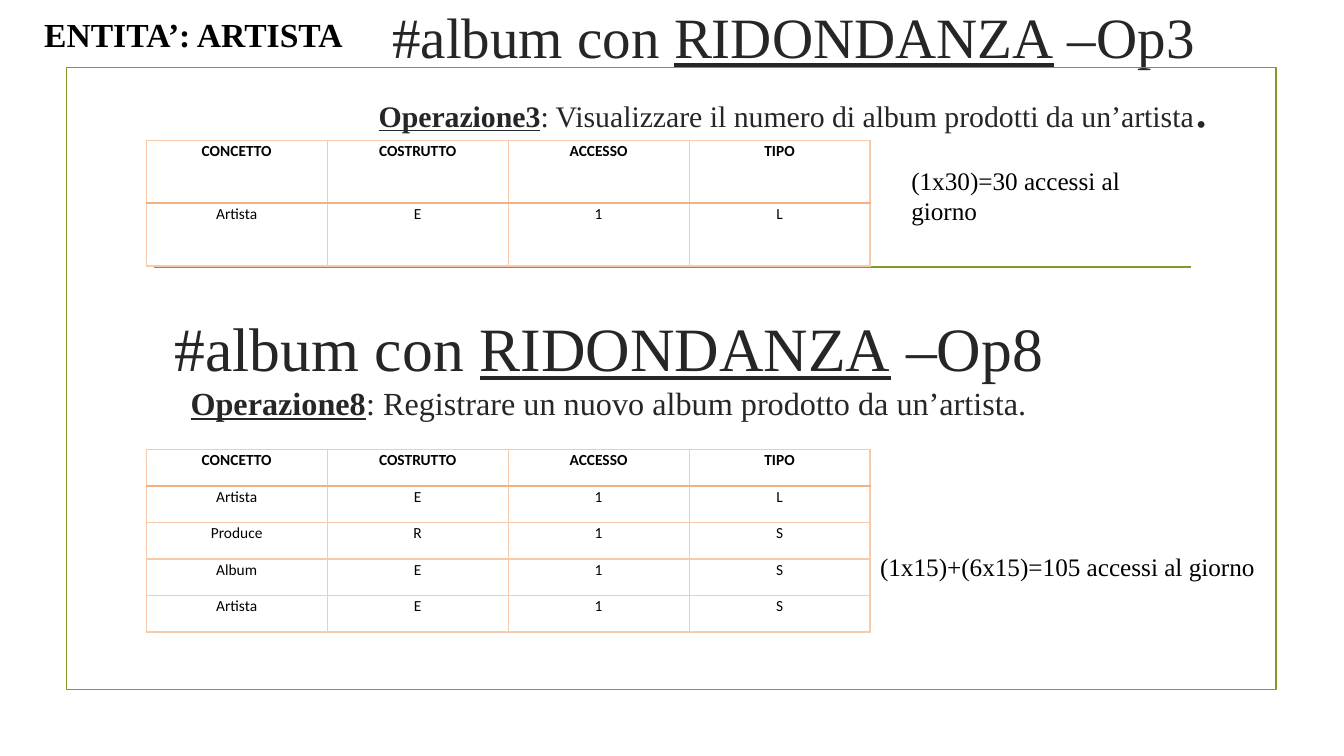
"""Slide on the cost of operations 3 and 8 with a redundant album count."""
from lxml.etree import SubElement
from pptx import Presentation
from pptx.dml.color import RGBColor
from pptx.enum.shapes import MSO_CONNECTOR as Connector, MSO_SHAPE as Shape
from pptx.enum.text import MSO_ANCHOR as Anchor, MSO_AUTO_SIZE as AutoSize, PP_ALIGN as Align
from pptx.oxml.ns import qn
from pptx.util import Emu, Pt

BLACK = RGBColor(0x00, 0x00, 0x00)
CHARCOAL = RGBColor(0x26, 0x26, 0x26)
OLIVE = RGBColor(0x83, 0x99, 0x2A)
PEACH = RGBColor(0xF7, 0xCA, 0xAC)
ORANGE = RGBColor(0xF4, 0xB0, 0x83)
HEADER = ("CONCETTO", "COSTRUTTO", "ACCESSO", "TIPO")


def px(count):
    return Emu(count * 9144)


class SlideBuilder:
    serif = "Times New Roman"
    sans = "Calibri"

    def __init__(self, slide):
        self.slide = slide
        self.shapes = slide.shapes

    def span(self, para, text, size, color, font=serif, bold=False, underline=False):
        span = para.add_run()
        span.text = text
        span.font.name = font
        span.font.size = Pt(size)
        span.font.color.rgb = color
        span.font.bold = bold
        span.font.underline = underline

    def frame(self, left, top, width, height):
        box = self.shapes.add_shape(Shape.RECTANGLE, px(left), px(top), px(width), px(height))
        box.shadow.inherit = False
        box.fill.background()
        box.line.color.rgb = OLIVE
        box.line.width = Pt(1.25)

    def rule(self, left, right, top):
        line = self.shapes.add_connector(Connector.STRAIGHT, px(left), px(top), px(right), px(top))
        line.line.color.rgb = OLIVE
        line.line.width = Pt(1.25)
        SubElement(line._element.spPr, qn("a:effectLst"))

    def heading(self, box, left, top, bottom_inset, lines):
        box.left, box.top, box.width, box.height = px(left), px(top), px(1050), px(143)
        frame = box.text_frame
        frame.word_wrap = True
        frame.auto_size = AutoSize.NONE
        frame.vertical_anchor = Anchor.MIDDLE
        frame.margin_bottom = px(bottom_inset)
        for index, spans in enumerate(lines):
            para = frame.add_paragraph() if index else frame.paragraphs[0]
            para.alignment = Align.CENTER
            for text, size, bold, underline in spans:
                self.span(para, text, size, CHARCOAL, bold=bold, underline=underline)

    def note(self, left, top, width, height, text, size=18, bold=False):
        box = self.shapes.add_textbox(px(left), px(top), px(width), px(height))
        box.text_frame.word_wrap = True
        box.text_frame.auto_size = AutoSize.SHAPE_TO_FIT_TEXT
        self.span(box.text_frame.paragraphs[0], text, size, BLACK, bold=bold)

    def border(self, cell, side, color, width):
        line = SubElement(cell._tc.get_or_add_tcPr(), qn(f"a:ln{side}"), w=str(Pt(width)))
        fill = SubElement(line, qn("a:solidFill"))
        SubElement(fill, qn("a:srgbClr"), val=str(color))

    def cell(self, cell, text, row):
        strong_sides = {0: "B", 1: "T"}
        for side in "LRTB":
            strong = strong_sides.get(row) == side
            self.border(cell, side, ORANGE if strong else PEACH, 1.5 if strong else 1)
        cell.fill.background()
        cell.margin_left = cell.margin_right = px(7)
        cell.margin_top = cell.margin_bottom = 0
        para = cell.text_frame.paragraphs[0]
        para.alignment = Align.CENTER
        para.line_spacing = 1.07
        para.space_after = Pt(8)
        self.span(para, text, 11, BLACK, self.sans, bold=row == 0)

    def access_table(self, top, height, records):
        rows = (HEADER, *records)
        table = self.shapes.add_table(
            len(rows), len(HEADER), px(145), px(top), px(718), px(height)).table
        table.horz_banding = False
        for row, values in enumerate(rows):
            table.rows[row].height = px(height) // len(rows)
            for column, text in enumerate(values):
                self.cell(table.cell(row, column), text, row)


def main():
    deck = Presentation()
    deck.slide_width, deck.slide_height = px(1333), px(750)
    page = SlideBuilder(deck.slides.add_slide(deck.slide_layouts[5]))
    page.frame(66, 67, 1200, 617)
    page.rule(153, 1181, 265)

    page.heading(page.shapes.title, 262, 28, 65, [
        [("#album con ", 40.7, False, False), ("RIDONDANZA", 40.7, False, True),
         (" –Op3", 40.7, False, False)],
        [("Operazione3", 21.3, True, True),
         (": Visualizzare il numero di album prodotti da un’artista", 21.3, False, False),
         (".", 40.7, False, False)],
    ])
    page.access_table(139, 125, [("Artista", "E", "1", "L")])

    second_heading = page.shapes.add_textbox(0, 0, px(1050), px(143))
    page.heading(second_heading, 79, 324, 70, [
        [("#album con ", 44, False, False), ("RIDONDANZA", 44, False, True),
         (" –Op8", 44, False, False)],
        [("Operazione8", 23, True, True),
         (": Registrare un nuovo album prodotto da un’artista.", 23, False, False)],
    ])
    page.access_table(446, 181, [
        ("Artista", "E", "1", "L"),
        ("Produce", "R", "1", "S"),
        ("Album", "E", "1", "S"),
        ("Artista", "E", "1", "S"),
    ])

    page.note(863, 542, 429, 40, "(1x15)+(6x15)=105 accessi al giorno")
    page.note(894, 159, 294, 40, "(1x30)=30 accessi al giorno")
    page.note(34, 9, 440, 50, "ENTITA’: ARTISTA", size=24, bold=True)
    deck.save("out.pptx")


if __name__ == "__main__":
    main()
